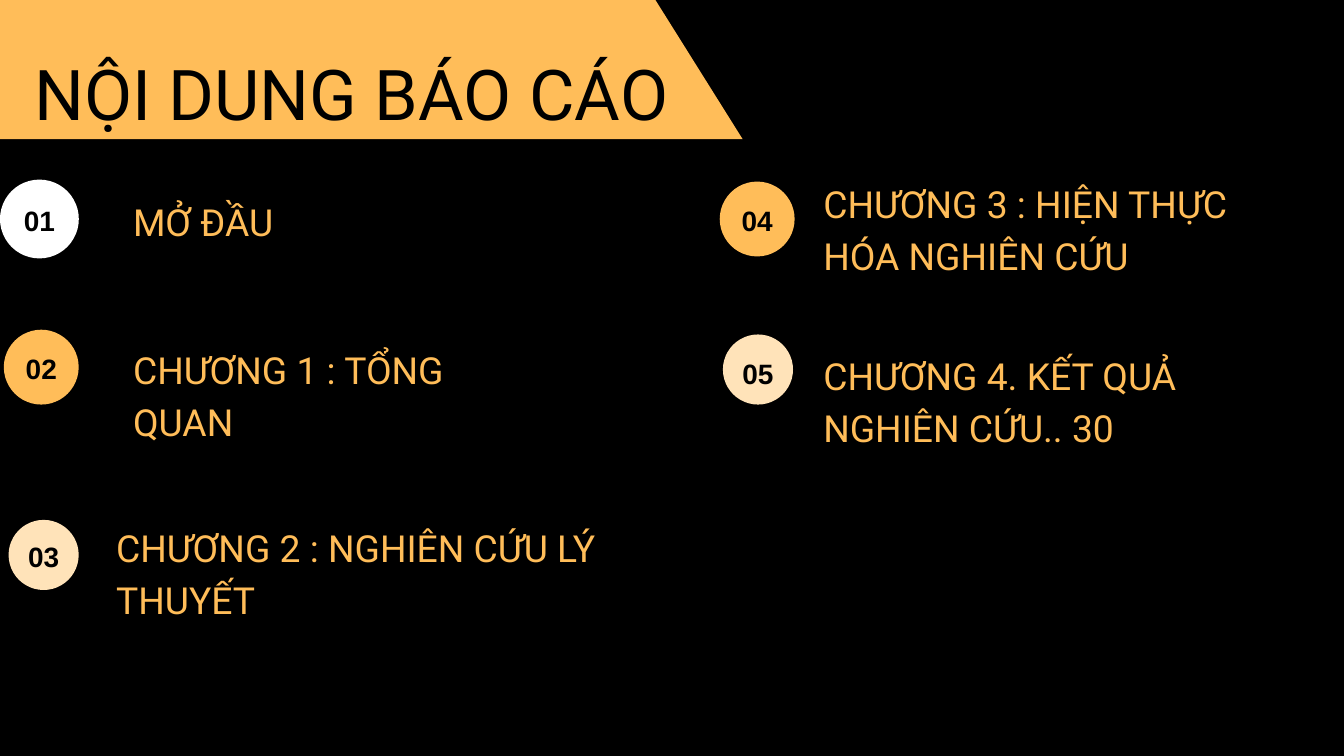
import pptx
import pptx.dml.color
import pptx.enum.shapes
import pptx.enum.text
import pptx.util

Cm = pptx.util.Cm
Pt = pptx.util.Pt
ALIGN = pptx.enum.text.PP_ALIGN

BLACK = pptx.dml.color.RGBColor(0x00, 0x00, 0x00)
WHITE = pptx.dml.color.RGBColor(0xFF, 0xFF, 0xFF)
AMBER = pptx.dml.color.RGBColor(0xFF, 0xBD, 0x59)
CREAM = pptx.dml.color.RGBColor(0xFF, 0xE3, 0xB9)

BANNER = [(-6.02, -0.58), (24.41, -0.58), (28.07, 5.26), (-2.39, 5.26)]
NUMBER_WIDTH, NUMBER_HEIGHT = 1.24, 1.42

# Badge: number, colour, centre x, centre y, diameter, top of the number
BADGES = [
    ("01", WHITE, 1.49, 8.28, 2.98, 7.47),
    ("02", AMBER, 1.56, 13.88, 2.83, 13.08),
    ("03", CREAM, 1.65, 20.98, 2.65, 20.17),
    ("04", AMBER, 28.62, 8.28, 2.83, 7.47),
    ("05", CREAM, 28.65, 13.97, 2.65, 13.28),
]

CHAPTERS = [
    ("MỞ ĐẦU", 5.03, 7.24, 9.7, 1.88),
    ("CHƯƠNG 1 : TỔNG QUAN", 5.03, 12.83, 15.5, 1.88),
    ("CHƯƠNG 2 : NGHIÊN CỨU LÝ THUYẾT", 4.39, 19.56, 23.5, 3.84),
    ("CHƯƠNG 3 : HIỆN THỰC HÓA NGHIÊN CỨU", 31.12, 6.58, 18.49, 5.79),
    ("CHƯƠNG 4. KẾT QUẢ NGHIÊN CỨU.. 30", 31.12, 13.06, 18.49, 3.84),
]


def paint(shape, colour):
    """Give a shape a plain fill without line or shadow."""
    shape.shadow.inherit = False
    shape.fill.solid()
    shape.fill.fore_color.rgb = colour
    shape.line.fill.background()


def add_banner(slide):
    """Draw the slanted band behind the heading."""
    corners = [(Cm(x), Cm(y)) for x, y in BANNER]
    outline = slide.shapes.build_freeform(*corners[0])
    outline.add_line_segments(corners[1:], close=True)
    paint(outline.convert_to_shape(), AMBER)


def add_label(slide, words, left, top, width, height, size, leading, colour,
              font="Roboto", bold=False, align=ALIGN.LEFT):
    """Add one paragraph of text in a box without margins."""
    label = slide.shapes.add_textbox(Cm(left), Cm(top), Cm(width), Cm(height))
    frame = label.text_frame
    frame.word_wrap = True
    frame.auto_size = pptx.enum.text.MSO_AUTO_SIZE.SHAPE_TO_FIT_TEXT
    frame.margin_left = frame.margin_right = 0
    frame.margin_top = frame.margin_bottom = 0
    paragraph = frame.paragraphs[0]
    paragraph.alignment = align
    paragraph.line_spacing = Pt(leading)
    run = paragraph.add_run()
    run.text = words
    run.font.name = font
    run.font.size = Pt(size)
    run.font.bold = bold
    run.font.color.rgb = colour


def add_badge(slide, number, colour, center_x, center_y, diameter, number_top):
    """Add a numbered circle."""
    circle = slide.shapes.add_shape(
        pptx.enum.shapes.MSO_SHAPE.OVAL,
        Cm(center_x - diameter / 2), Cm(center_y - diameter / 2),
        Cm(diameter), Cm(diameter))
    paint(circle, colour)
    add_label(slide, number, center_x - NUMBER_WIDTH / 2, number_top,
              NUMBER_WIDTH, NUMBER_HEIGHT, 30, 42, BLACK,
              font="Arial", bold=True, align=ALIGN.CENTER)


def main():
    """Build the table of contents slide."""
    deck = pptx.Presentation()
    deck.slide_width, deck.slide_height = Cm(50.8), Cm(28.58)
    slide = deck.slides.add_slide(deck.slide_layouts[6])
    slide.background.fill.solid()
    slide.background.fill.fore_color.rgb = BLACK

    add_banner(slide)
    add_label(slide, "NỘI DUNG BÁO CÁO", 1.3, 1.4, 24.1, 3.58, 75, 105, BLACK)
    for words, left, top, width, height in CHAPTERS:
        add_label(slide, words, left, top, width, height, 39.9, 55.9, AMBER)
    for badge in BADGES:
        add_badge(slide, *badge)
    deck.save("out.pptx")


if __name__ == "__main__":
    main()
